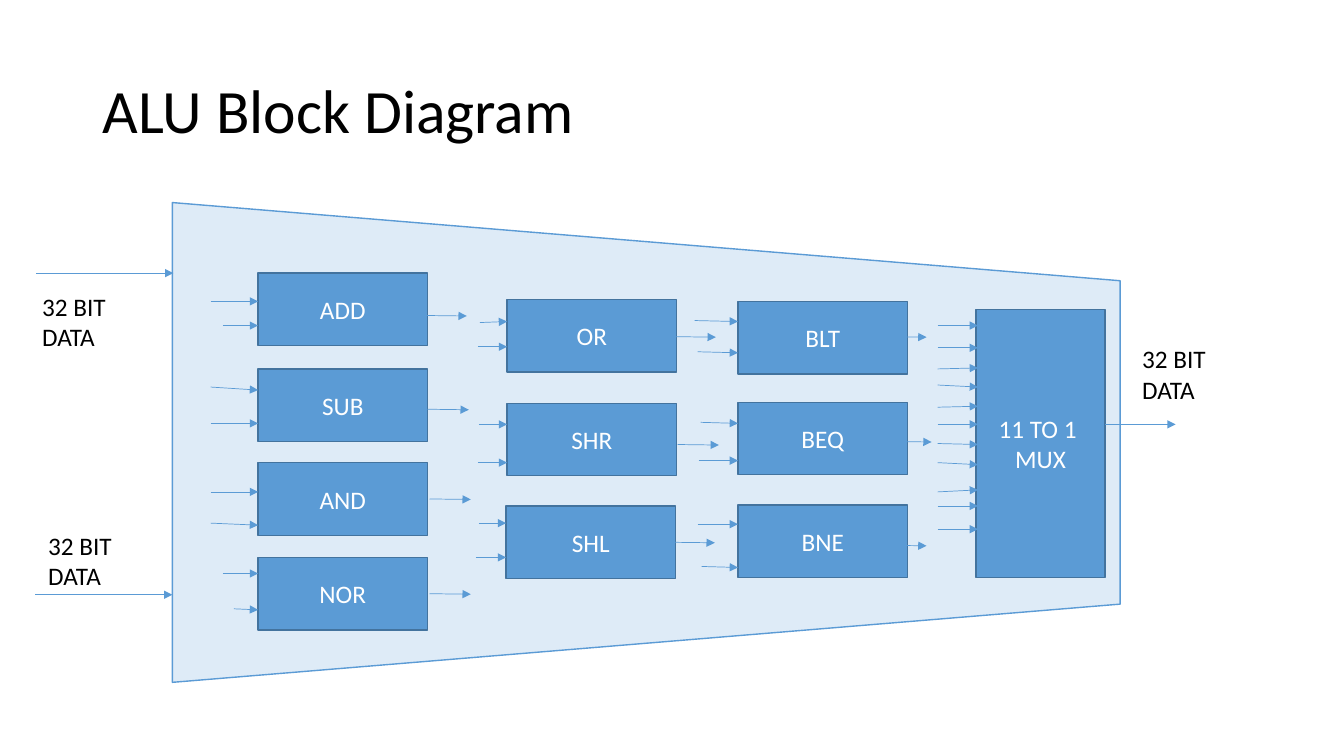
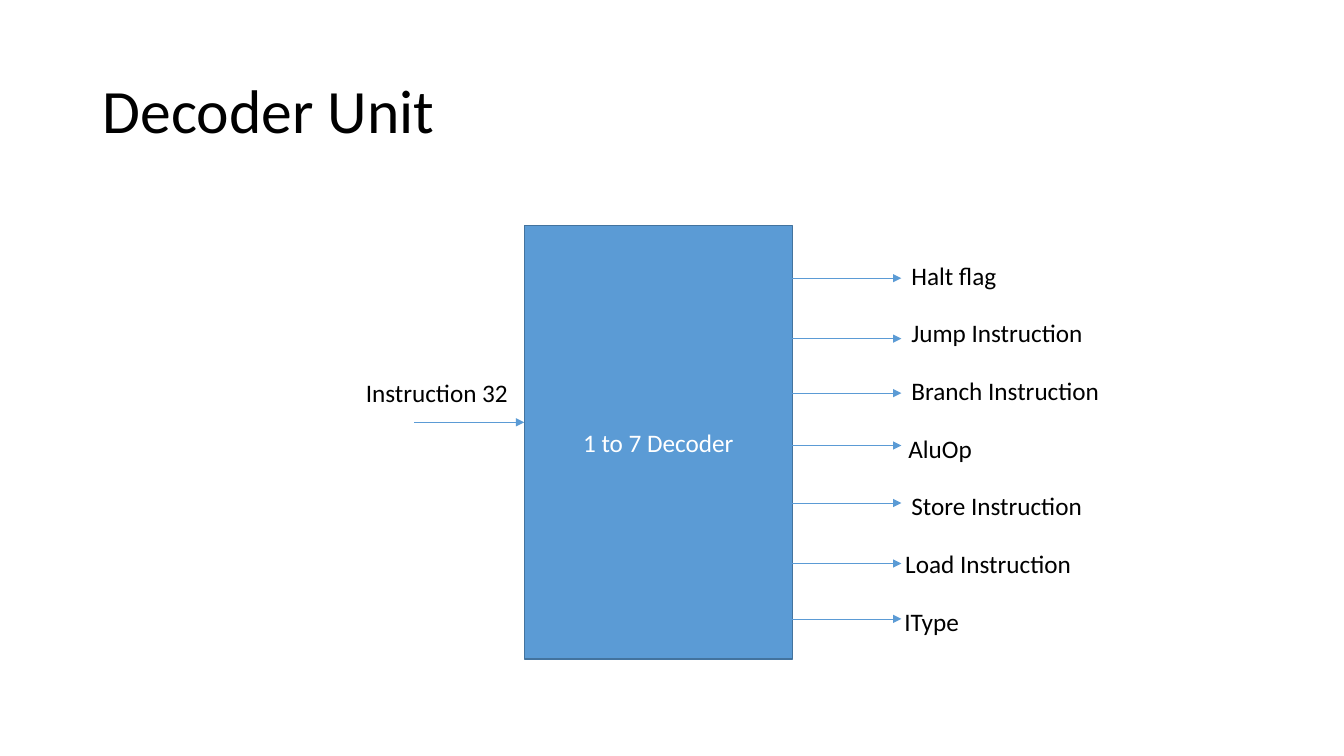
"""Build the ALU block diagram and decoder unit slides."""
from dataclasses import dataclass

from lxml.etree import SubElement
from pptx import Presentation
from pptx.dml.color import RGBColor
from pptx.enum.shapes import MSO_CONNECTOR, MSO_SHAPE
from pptx.enum.text import MSO_ANCHOR, PP_ALIGN
from pptx.oxml.ns import qn
from pptx.util import Inches, Pt


@dataclass(frozen=True)
class Theme:
    """Colours, type sizes and line widths shared by the slides."""
    font: str = "Calibri"
    ink: str = "000000"
    inverse: str = "FFFFFF"
    accent: str = "5B9BD5"
    edge: str = "43739E"
    tint: str = "DEEBF7"
    title_size: int = 44
    body_size: int = 18
    outline: float = 1
    wire: float = 0.5


class Diagram:
    """Draw slide parts on a square grid of 75 rows per slide height."""
    ROWS = 75

    def __init__(self, deck, theme):
        """Keep the deck, the theme and the size of one grid cell."""
        self.deck, self.theme = deck, theme
        self.cell = deck.slide_height / self.ROWS
        self.slide = None

    def grid(self, *lengths):
        """Turn grid lengths into slide units."""
        return [round(length * self.cell) for length in lengths]

    def add_lines(self, frame, lines, size, colour, align=PP_ALIGN.LEFT, spacing=None):
        """Fill a text frame with one run for each line."""
        frame.word_wrap = True
        for index, line in enumerate(lines):
            paragraph = frame.add_paragraph() if index else frame.paragraphs[0]
            paragraph.alignment, paragraph.line_spacing = align, spacing
            run = paragraph.add_run()
            run.text = line
            run.font.name, run.font.size = self.theme.font, Pt(size)
            run.font.color.rgb = RGBColor.from_string(colour)

    def open_slide(self, title):
        """Start a blank slide with its title."""
        self.slide = self.deck.slides.add_slide(self.deck.slide_layouts[6])
        frame = self.slide.shapes.add_textbox(*self.grid(9.2, 4, 115, 14.5)).text_frame
        frame.vertical_anchor = MSO_ANCHOR.MIDDLE
        self.add_lines(frame, [title], self.theme.title_size, self.theme.ink, spacing=0.9)

    def label(self, text, left, top, width, height=4):
        """Place a plain caption."""
        frame = self.slide.shapes.add_textbox(*self.grid(left, top, width, height)).text_frame
        self.add_lines(frame, [text], self.theme.body_size, self.theme.ink)

    def outline(self, kind, box, fill, line):
        """Add a flat preset shape."""
        shape = self.slide.shapes.add_shape(kind, *self.grid(*box))
        shape.shadow.inherit = False
        shape.fill.solid()
        shape.fill.fore_color.rgb = RGBColor.from_string(fill)
        shape.line.color.rgb = RGBColor.from_string(line)
        shape.line.width = Pt(self.theme.outline)
        return shape

    def block(self, lines, left, top, width=16.8, height=7.2):
        """Add a unit of the circuit with centred text."""
        box = (left, top, width, height)
        unit = self.outline(MSO_SHAPE.RECTANGLE, box, self.theme.accent, self.theme.edge)
        unit.text_frame.vertical_anchor = MSO_ANCHOR.MIDDLE
        self.add_lines(unit.text_frame, lines, self.theme.body_size,
                       self.theme.inverse, PP_ALIGN.CENTER)

    def casing(self, left, top, width, height, slant):
        """Add a trapezoid that narrows to the right."""
        box = (left + (width - height) / 2, top + (height - width) / 2, height, width)
        body = self.outline(MSO_SHAPE.TRAPEZOID, box, self.theme.tint, self.theme.accent)
        body.adjustments[0], body.rotation = slant, 90

    def arrow(self, x1, y1, x2, y2=None):
        """Draw a wire, level unless it has an end row."""
        end = y1 if y2 is None else y2
        wire = self.slide.shapes.add_connector(
            MSO_CONNECTOR.STRAIGHT, *self.grid(x1, y1, x2, end))
        wire.line.color.rgb = RGBColor.from_string(self.theme.accent)
        wire.line.width = Pt(self.theme.wire)
        properties = wire._element.spPr
        SubElement(properties.find(qn("a:ln")), qn("a:tailEnd"), type="triangle")
        SubElement(properties, qn("a:effectLst"))


UNITS = [
    ("ADD", 25.6, 27.1, [(20.9, 29.9, 29.9), (22.1, 32.3, 32.3)], (42.2, 31.3)),
    ("SUB", 25.6, 36.6, [(20.9, 38.4, 38.7), (20.9, 42, 42)], (42.4, 40.6)),
    ("AND", 25.6, 45.9, [(20.9, 48.8, 48.8), (20.9, 51.9, 52.1)], (42.6, 49.5)),
    ("NOR", 25.6, 55.3, [(22.1, 56.9, 56.9), (23.2, 60.4, 60.5)], (42.6, 58.9)),
    ("OR", 50.3, 29.7, [(47.6, 32, 31.9), (47.4, 34.4, 34.4)], (66.9, 33.4)),
    ("SHR", 50.3, 40, [(47.5, 42.1, 42.1), (47.4, 45.9, 45.9)], (67.2, 44.1)),
    ("SHL", 50.2, 50.2, [(47.5, 51.9, 51.9), (47.2, 55.3, 55.3)], (66.8, 53.8)),
    ("BLT", 73.2, 29.9, [(68.9, 31.8, 31.9), (69.2, 34.9, 35)], (87.9, 33.4)),
    ("BEQ", 73.2, 39.9, [(69.5, 41.9, 42), (69.3, 45.7, 45.7)], (88.4, 43.8)),
    ("BNE", 73.2, 50.1, [(69.2, 52, 52), (69.6, 56.2, 56.3)], (87.9, 54.1)),
]
MUX_INPUTS = [(32.3, 32.3), (34.5, 34.5), (36.6, 36.5), (38.2, 38.4),
              (40.4, 40.3), (42.1, 42.1), (44, 44.1), (45.9, 46.1),
              (48.8, 48.6), (50.2, 50.2), (52.5, 52.5)]
DATA_LABELS = [(3.2, 28.4), (112.3, 33.6), (3.8, 52.1)]
DECODED = [("Halt flag", 89.4, 27.6), ("Jump Instruction", 89.4, 33.6),
           ("Branch Instruction", 89.4, 39), ("AluOp", 89.1, 44.2),
           ("Store Instruction", 89.4, 49.9), ("Load Instruction", 88.8, 55.9),
           ("IType", 88.7, 61.4)]


def draw_alu(diagram):
    """Draw the ALU with its units and multiplexer."""
    diagram.open_slide("ALU Block Diagram")
    diagram.casing(17.1, 20.1, 94, 47.6, 0.163)
    for name, left, top, inputs, (out_x, out_y) in UNITS:
        diagram.block([name], left, top)
        for start, y1, y2 in inputs:
            diagram.arrow(start, y1, left, y2)
        reach = 4 if left > 70 else 4.1
        diagram.arrow(out_x, out_y, out_x + reach, out_y + 0.05)
    diagram.block(["11 TO 1 ", "MUX"], 96.8, 30.7, 12.8, 26.6)
    for y1, y2 in MUX_INPUTS:
        diagram.arrow(93, y1, 97, y2)
    diagram.arrow(109.6, 42.1, 116.6)
    diagram.arrow(3.6, 27.1, 17.2)
    diagram.arrow(3.5, 59, 17.1)
    for left, top in DATA_LABELS:
        diagram.label("32 BIT DATA", left, top, 13.3, 7.1)


def draw_decoder(diagram):
    """Draw the decoder with its input and seven outputs."""
    diagram.open_slide("Decoder Unit")
    diagram.block(["1 to 7 Decoder"], 52, 22.4, 26.6, 43)
    diagram.arrow(41.1, 41.9, 52)
    diagram.label("Instruction 32", 35.3, 36.9, 16.6)
    for row, (name, left, wire_y) in enumerate(DECODED):
        diagram.arrow(78.5, wire_y, 89.4)
        diagram.label(name, left, 25.3 + 5.72 * row, 20.9)


deck = Presentation()
deck.slide_width, deck.slide_height = Inches(13.33), Inches(7.5)
diagram = Diagram(deck, Theme())
draw_alu(diagram)
draw_decoder(diagram)
deck.save("out.pptx")
